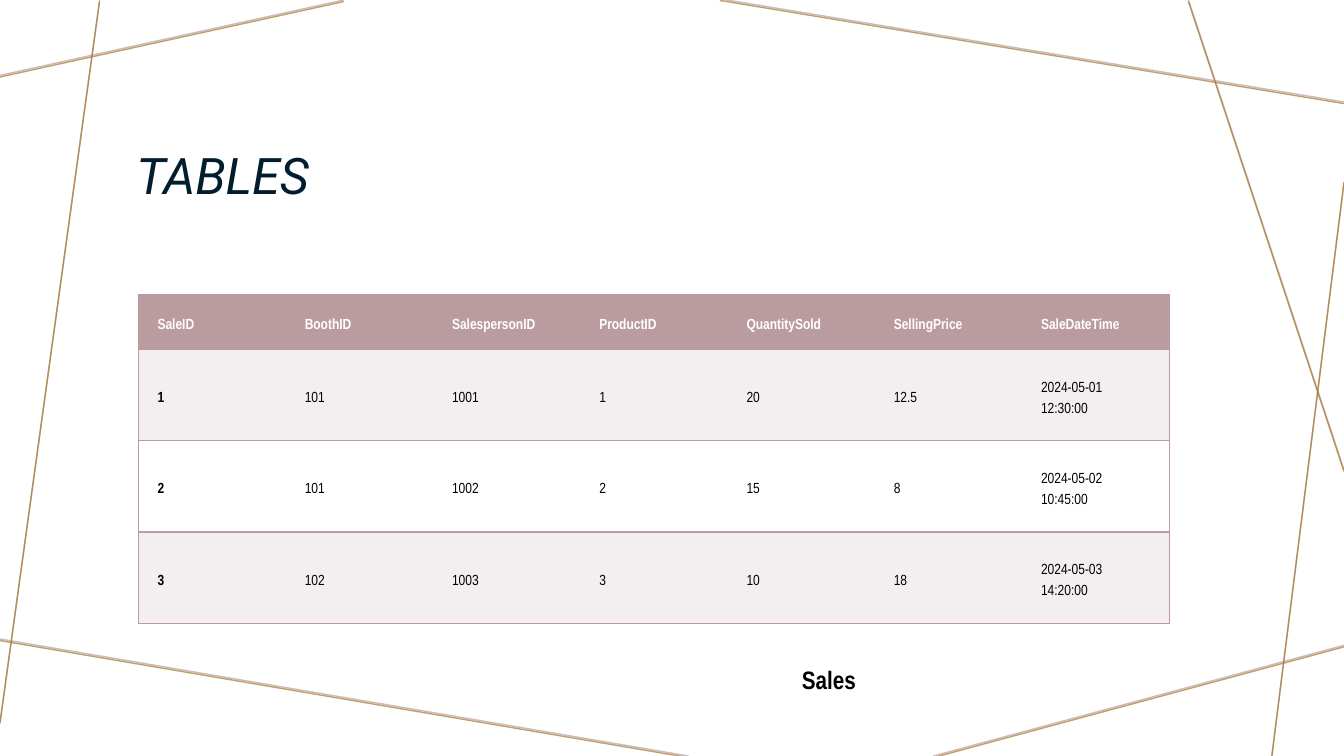
from dataclasses import dataclass

from lxml.etree import SubElement
from pptx import Presentation
from pptx.dml.color import RGBColor
from pptx.enum.shapes import MSO_CONNECTOR
from pptx.enum.text import MSO_ANCHOR, MSO_AUTO_SIZE, PP_ALIGN
from pptx.oxml import parse_xml
from pptx.oxml.ns import nsdecls, qn
from pptx.util import Cm, Pt


@dataclass(frozen=True)
class Theme:
    rose: str = "BA9CA0"
    gold: str = "A57931"
    navy: str = "001E2E"
    black: str = "000000"
    white: str = "FFFFFF"
    band: str = "F3EFF0"
    title_font: str = "Roboto"
    body_font: str = "Arial Narrow"
    title_size: float = 36
    caption_size: float = 18
    cell_size: float = 10.5


theme = Theme()


def write(tf, text, font=theme.body_font, size=theme.cell_size, color=theme.black,
          bold=False, italic=False, spacing=None):
    tf.word_wrap = True
    p = tf.paragraphs[0]
    p.alignment = PP_ALIGN.LEFT
    p.line_spacing = spacing
    r = p.add_run()
    r.text = text
    r.font.name, r.font.size = font, Pt(size)
    r.font.bold, r.font.italic = bold, italic
    r.font.color.rgb = RGBColor.from_string(color)


def set_borders(cell, visible):
    """Draw the sides named in visible (L, R, T, B) and clear the others."""
    tc_pr = cell._tc.get_or_add_tcPr()
    for i, side in enumerate("LRTB"):
        fill = (f'<a:solidFill><a:srgbClr val="{theme.rose}"/></a:solidFill>'
                if side in visible else "<a:noFill/>")
        tc_pr.insert(i, parse_xml(
            f'<a:ln{side} {nsdecls("a")} w="12700">{fill}</a:ln{side}>'))


prs = Presentation()
prs.slide_width, prs.slide_height = Cm(33.87), Cm(19.05)
slide = prs.slides.add_slide(prs.slide_layouts[5])

# Crossing lines: a rose set, then a gold set slightly lower
frame_lines = [
    (8.66, 0, 0, 1.9),
    (2.51, 0, 0, 18.19),
    (17.35, 19.05, -0.13, 16.08),
    (33.87, 16.26, 23.52, 19.05),
    (33.87, 4.57, 32.05, 19.05),
    (33.87, 11.84, 29.95, 0),
    (33.87, 2.57, 18.14, -0.03),
]
for color, drop in ((theme.rose, 0), (theme.gold, 0.04)):
    for x1, y1, x2, y2 in frame_lines:
        line = slide.shapes.add_connector(
            MSO_CONNECTOR.STRAIGHT, Cm(x1), Cm(y1 + drop), Cm(x2), Cm(y2 + drop))
        line.line.width = Pt(1)
        line.line.color.rgb = RGBColor.from_string(color)
        sp_pr = line._element.spPr
        SubElement(next(sp_pr.iter(qn("a:srgbClr"))), qn("a:alpha"), val="70000")
        SubElement(sp_pr, qn("a:effectLst"))

# Title
title = slide.shapes.title
title.left, title.top, title.width, title.height = Cm(3.18), Cm(1.47), Cm(27.51), Cm(3.84)
tf = title.text_frame
tf.auto_size = MSO_AUTO_SIZE.NONE
tf.vertical_anchor = MSO_ANCHOR.BOTTOM
write(tf, "TABLES", font=theme.title_font, size=theme.title_size,
      color=theme.navy, italic=True, spacing=0.9)

# Sales table
rows = [
    ("SaleID", "BoothID", "SalespersonID", "ProductID", "QuantitySold",
     "SellingPrice", "SaleDateTime"),
    ("1", "101", "1001", "1", "20", "12.5", "2024-05-01 12:30:00"),
    ("2", "101", "1002", "2", "15", "8", "2024-05-02 10:45:00"),
    ("3", "102", "1003", "3", "10", "18", "2024-05-03 14:20:00"),
]
last = len(rows[0]) - 1
table = slide.shapes.add_table(
    len(rows), len(rows[0]), Cm(3.49), Cm(7.43), Cm(25.98), Cm(8.27)).table
for i, row in enumerate(rows):
    header = i == 0
    table.rows[i].height = Cm(1.38 if header else 2.3)
    fill = theme.rose if header else theme.band if i % 2 else theme.white
    for j, text in enumerate(row):
        cell = table.cell(i, j)
        cell.fill.solid()
        cell.fill.fore_color.rgb = RGBColor.from_string(fill)
        cell.vertical_anchor = MSO_ANCHOR.MIDDLE
        cell.margin_left = cell.margin_right = Cm(0.48)
        cell.margin_top = cell.margin_bottom = Cm(0.1)
        write(cell.text_frame, text, color=theme.white if header else theme.black,
              bold=header or j == 0, spacing=Pt(15))
        set_borders(cell, "TB" + ("L" if j == 0 else "R" if j == last else ""))

# Caption
caption = slide.shapes.add_textbox(Cm(19.96), Cm(16.61), Cm(5.74), Cm(1.02))
caption.text_frame.auto_size = MSO_AUTO_SIZE.SHAPE_TO_FIT_TEXT
write(caption.text_frame, "Sales", size=theme.caption_size, bold=True)

prs.save("out.pptx")
